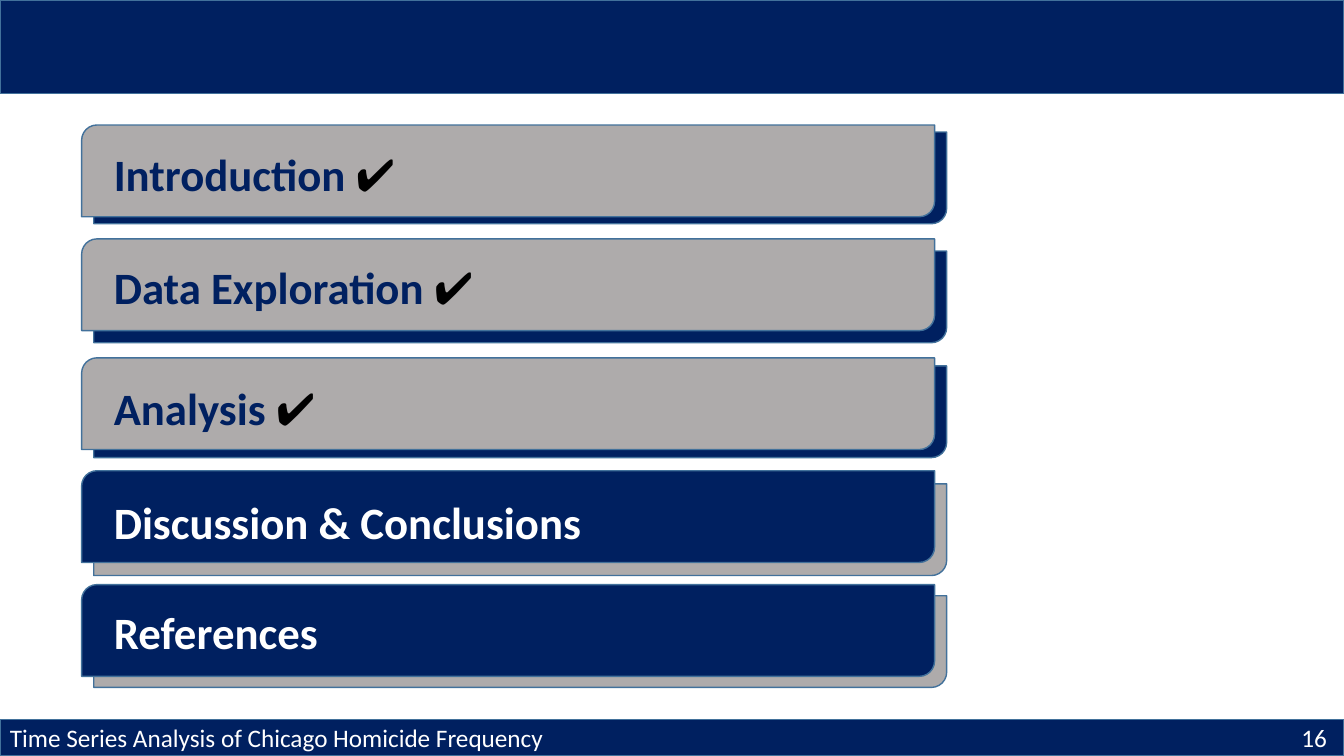
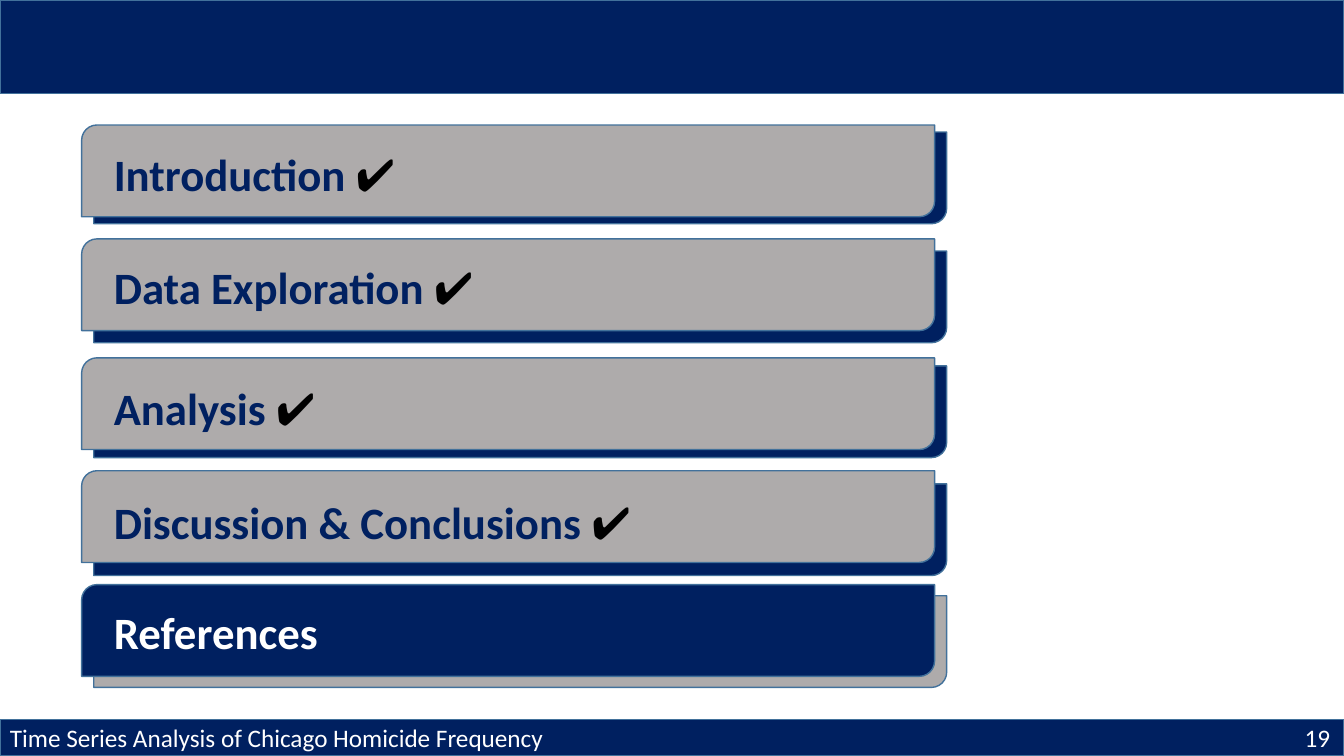
from dataclasses import dataclass

from pptx import Presentation
from pptx.dml.color import RGBColor
from pptx.enum.shapes import MSO_SHAPE as SHAPE
from pptx.util import Inches, Pt


@dataclass(frozen=True)
class Theme:
    navy: RGBColor = RGBColor(0x00, 0x20, 0x60)
    gray: RGBColor = RGBColor(0xAE, 0xAB, 0xAB)
    outline: RGBColor = RGBColor(0x42, 0x71, 0x9B)
    white: RGBColor = RGBColor(0xFF, 0xFF, 0xFF)
    black: RGBColor = RGBColor(0x00, 0x00, 0x00)
    font: str = "Calibri"
    agenda_size: int = 32
    footer_size: int = 18
    line_width: int = 1


WIDTH, HEIGHT = 13.33, 7.5
FOOTER = "Time Series Analysis of Chicago Homicide Frequency"

# Section name, then the tops of its card, its backing and its label
AGENDA = [
    ("Introduction", 1.24, 1.31, 1.41),
    ("Data Exploration", 2.37, 2.49, 2.53),
    ("Analysis", 3.55, 3.63, 3.73),
    ("Discussion & Conclusions", 4.67, 4.8, 4.86),
    ("References", 5.8, 5.91, 5.95),
]

# Page number, its left edge, number of finished sections
PAGES = [(16, 12.81, 3), (19, 12.84, 4)]


class Deck:
    def __init__(self, theme):
        self.theme = theme
        self.prs = Presentation()
        self.prs.slide_width = Inches(WIDTH)
        self.prs.slide_height = Inches(HEIGHT)
        self.s = None

    def new_slide(self):
        self.s = self.prs.slides.add_slide(self.prs.slide_layouts[6])

    def shape(self, kind, x, y, w, h, fill):
        sp = self.s.shapes.add_shape(kind, Inches(x), Inches(y), Inches(w), Inches(h))
        sp.shadow.inherit = False
        sp.fill.solid()
        sp.fill.fore_color.rgb = fill
        sp.line.color.rgb = self.theme.outline
        sp.line.width = Pt(self.theme.line_width)
        return sp

    def band(self, y, h):
        self.shape(SHAPE.RECTANGLE, 0, y, WIDTH, h, self.theme.navy)

    def card(self, x, y, fill):
        sp = self.shape(SHAPE.ROUND_2_DIAG_RECTANGLE, x, y, 8.46, 0.91, fill)
        sp.adjustments[0] = 0.167
        sp.adjustments[1] = 0

    def text(self, x, y, w, h, runs, size, bold=False):
        """Add a one-paragraph text box; runs are (text, colour) pairs."""
        tf = self.s.shapes.add_textbox(
            Inches(x), Inches(y), Inches(w), Inches(h)).text_frame
        tf.word_wrap = True
        p = tf.paragraphs[0]
        for content, color in runs:
            r = p.add_run()
            r.text = content
            r.font.name = self.theme.font
            r.font.size = Pt(size)
            r.font.bold = bold
            r.font.color.rgb = color

    def frame(self, number, number_left):
        """Add the header band and the footer band with its texts."""
        t = self.theme
        self.band(0, 0.93)
        self.band(7.14, 0.36)
        for x, w, content in ((0, 5.65, FOOTER),
                              (number_left, WIDTH - number_left, str(number))):
            self.text(x, 7.12, w, 0.4, [(content, t.white)], t.footer_size)

    def agenda_item(self, name, card_top, back_top, label_top, done):
        t = self.theme
        face, back = (t.gray, t.navy) if done else (t.navy, t.gray)
        self.card(0.93, back_top, back)
        self.card(0.81, card_top, face)
        if done:
            runs = [(name + " ", t.navy), ("✔", t.black)]
        else:
            runs = [(name, t.white)]
        self.text(1.03, label_top, 8.01, 0.94, runs, t.agenda_size, bold=True)


def main():
    deck = Deck(Theme())
    for number, number_left, done_count in PAGES:
        deck.new_slide()
        deck.frame(number, number_left)
        for i, item in enumerate(AGENDA):
            deck.agenda_item(*item, done=i < done_count)
    deck.prs.save("out.pptx")


if __name__ == "__main__":
    main()
